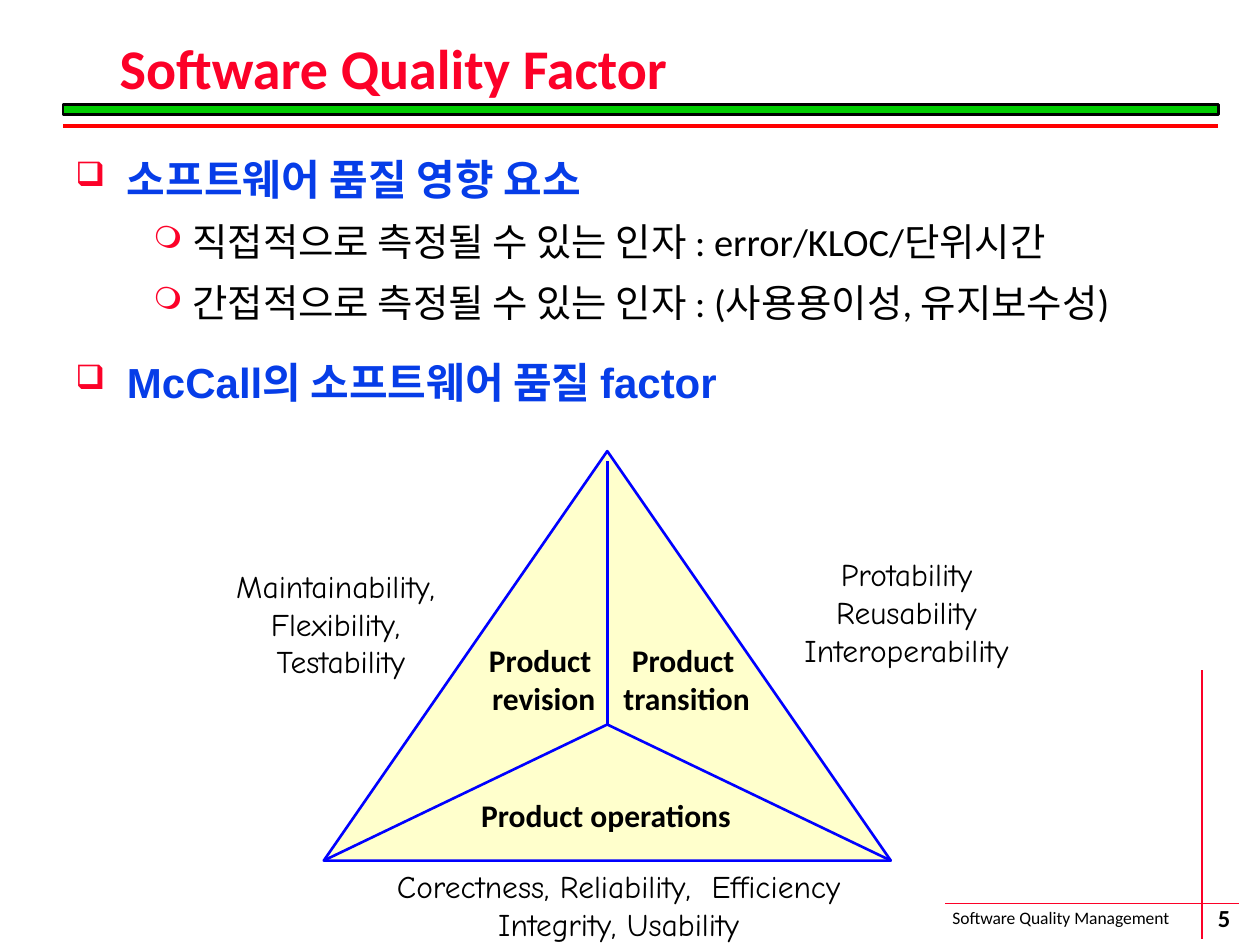
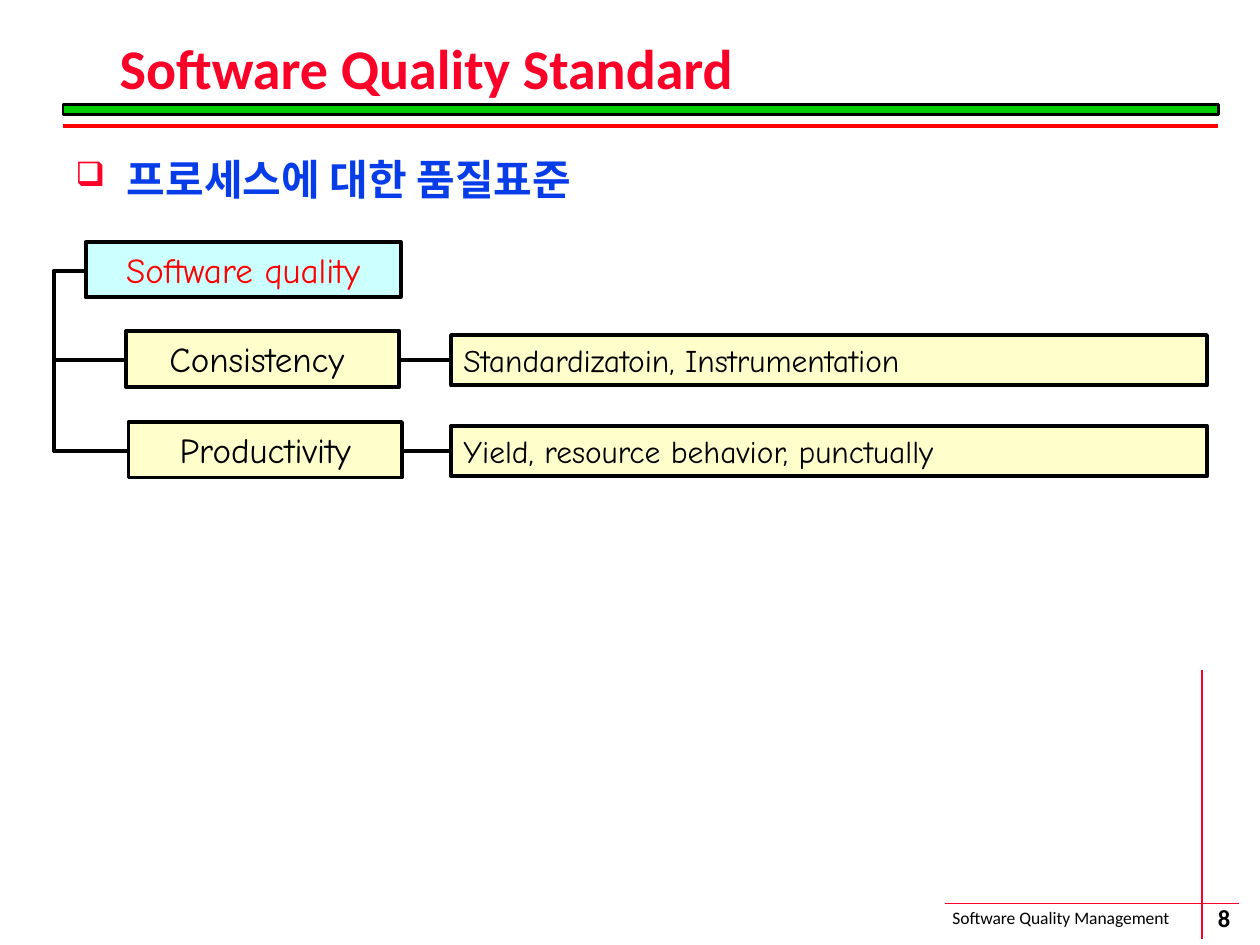
from lxml import etree
from pptx import Presentation
from pptx.dml.color import RGBColor
from pptx.enum.shapes import MSO_CONNECTOR, MSO_SHAPE
from pptx.enum.text import MSO_ANCHOR, PP_ALIGN
from pptx.oxml.ns import qn
from pptx.util import Inches, Pt

LEFT, CENTER = PP_ALIGN.LEFT, PP_ALIGN.CENTER
TOP, MIDDLE = MSO_ANCHOR.TOP, MSO_ANCHOR.MIDDLE
STRAIGHT, ELBOW = MSO_CONNECTOR.STRAIGHT, MSO_CONNECTOR.ELBOW
RECT, TRIANGLE = MSO_SHAPE.RECTANGLE, MSO_SHAPE.ISOSCELES_TRIANGLE

COLORS = {
    "red": "FC0128", "pure_red": "FF0000", "green": "00CC00", "heading": "063DE8",
    "edge": "0000FF", "cream": "FFFFCC", "cyan": "CCFFFF", "black": "000000",
}
SANS, ARIAL, COMIC, KOREAN = "Calibri", "Arial", "Comic Neue", "Noto Sans CJK KR"
BULLETS = {
    0: dict(char="❑", margin=0.41, hang=0.41, before=18, size=24, bold=True, color="heading"),
    1: dict(char="❍", margin=0.93, hang=0.31, before=8.2, size=22, bold=False, color="black"),
}


def rgb(name):
    return RGBColor.from_string(COLORS[name])


def add_run(p, text, font=SANS, size=18, color="black", bold=False):
    r = p.add_run()
    r.text = text
    r.font.name, r.font.size, r.font.bold = font, Pt(size), bold
    r.font.color.rgb = rgb(color)
    etree.SubElement(r.font._element, qn("a:ea"), typeface=KOREAN)


class Deck:
    """Draws the elements of the lecture slides in one shared style."""

    def __init__(self):
        self.prs = Presentation()
        self.prs.slide_width, self.prs.slide_height = Inches(10), Inches(7.5)
        self.s = None

    def slide(self, title, number):
        self.s = self.prs.slides.add_slide(self.prs.slide_layouts[5])
        self.line((7.5, 7.17), (9.83, 7.17), "red", 1)
        self.label(7.46, 7.15, 2.19, 0.27, ["Software Quality Management"], size=10, align=LEFT)
        self.line((9.54, 5.32), (9.54, 7.45), "red", 1)
        self.label(9.22, 7.14, 0.99, 0.28, [str(number)], size=14, bold=True,
                   anchor=MIDDLE, inset=0)
        self.shape(RECT, 0.5, 0.83, 9.17, 0.08, "green", "black", 1.5)
        self.line((0.5, 1), (9.67, 1), "pure_red", 2.25)
        self.title(title)

    def title(self, text):
        sp = self.s.shapes.title
        sp.left, sp.top, sp.width, sp.height = map(Inches, (0.85, 0.35, 8.78, 0.44))
        tf = sp.text_frame
        tf.vertical_anchor, tf.word_wrap = MIDDLE, True
        p = tf.paragraphs[0]
        p.alignment, p.line_spacing = LEFT, 0.9
        add_run(p, text, size=32, color="red", bold=True)

    def line(self, start, end, color="black", weight=2.25, kind=STRAIGHT, bend_x=None):
        points = [Inches(v) for v in (*start, *end)]
        sp = self.s.shapes.add_connector(kind, *points)
        sp.line.color.rgb, sp.line.width = rgb(color), Pt(weight)
        props = sp._element.spPr
        etree.SubElement(props, qn("a:effectLst"))
        if bend_x is not None:
            ratio = (bend_x - start[0]) / (end[0] - start[0])
            guides = props.find(qn("a:prstGeom")).get_or_add_avLst()
            etree.SubElement(guides, qn("a:gd"), name="adj1", fmla=f"val {round(ratio * 100000)}")

    def shape(self, kind, x, y, w, h, fill, edge="black", weight=2.25):
        sp = self.s.shapes.add_shape(kind, *map(Inches, (x, y, w, h)))
        sp.shadow.inherit = False
        sp.fill.solid()
        sp.fill.fore_color.rgb = rgb(fill)
        sp.line.color.rgb, sp.line.width = rgb(edge), Pt(weight)
        return sp

    def box(self, x, y, w, h, text, fill="cream", align=CENTER, **font):
        tf = self.shape(RECT, x, y, w, h, fill).text_frame
        tf.word_wrap, tf.vertical_anchor = True, TOP
        p = tf.paragraphs[0]
        p.alignment = align
        add_run(p, text, font=COMIC, **font)

    def label(self, x, y, w, h, lines, align=CENTER, anchor=TOP, inset=None, **font):
        tf = self.s.shapes.add_textbox(*map(Inches, (x, y, w, h))).text_frame
        tf.word_wrap, tf.vertical_anchor = False, anchor
        if inset is not None:
            tf.margin_left = tf.margin_right = tf.margin_top = tf.margin_bottom = Inches(inset)
        for i, text in enumerate(lines):
            p = tf.add_paragraph() if i else tf.paragraphs[0]
            p.alignment = align
            add_run(p, text, **font)

    def bullets(self, items):
        tf = self.s.shapes.add_textbox(*map(Inches, (0.5, 1.17, 9.17, 6.02))).text_frame
        tf.word_wrap = True
        for i, (level, runs) in enumerate(items):
            style = BULLETS[level]
            p = tf.add_paragraph() if i else tf.paragraphs[0]
            pPr = p._p.get_or_add_pPr()
            pPr.set("marL", str(Inches(style["margin"])))
            pPr.set("indent", str(-Inches(style["hang"])))
            color = etree.SubElement(pPr, qn("a:buClr"))
            etree.SubElement(color, qn("a:srgbClr"), val=COLORS["red"])
            etree.SubElement(pPr, qn("a:buSzPct"), val="80000")
            etree.SubElement(pPr, qn("a:buChar"), char=style["char"])
            p.level = level
            if i:
                p.space_before = Pt(style["before"])
            for text, font in runs:
                add_run(p, text, font, style["size"], style["color"], style["bold"])


def quality_factor(deck):
    deck.slide("Software Quality Factor", 5)
    deck.bullets([
        (0, [("소프트웨어 품질 영향 요소", SANS)]),
        (1, [("직접적으로 측정될 수 있는 인자 ", KOREAN), (": error/KLOC/", SANS),
             ("단위시간", KOREAN)]),
        (1, [("간접적으로 측정될 수 있는 인자 ", KOREAN), (": (", SANS), ("사용용이성", KOREAN),
             (", ", SANS), ("유지보수성", KOREAN), (")", SANS)]),
        (0, [("McCall의 소프트웨어 품질 factor", ARIAL)]),
    ])
    left, top, width, height = 2.57, 3.58, 4.5, 3.25
    deck.shape(TRIANGLE, left, top, width, height, "cream", "edge", 1.5)
    hub = (left + width / 2, 5.75)
    for corner in [(hub[0], 3.66), (left, top + height), (left + width, top + height)]:
        deck.line(hub, corner, "edge", 1.5)
    for x, y, w, h, lines in [
        (3.51, 6.27, 2.6, 0.4, ["Product operations"]),
        (4.73, 5.04, 1.44, 0.7, ["Product ", "transition"]),
        (3.69, 5.04, 1.25, 0.7, ["Product ", "revision"]),
    ]:
        deck.label(x, y, w, h, lines, bold=True)
    for x, y, w, h, lines in [
        (3.05, 6.83, 3.72, 0.7, ["Corectness, Reliability,  Efficiency", "Integrity, Usability"]),
        (1.77, 4.45, 1.87, 1, ["Maintainability, ", "Flexibility, ", "Testability"]),
        (6.28, 4.36, 1.83, 1, ["Protability", "Reusability", "Interoperability"]),
    ]:
        deck.label(x, y, w, h, lines, font=COMIC)


def quality_standard(deck):
    deck.slide("Software Quality Standard", 8)
    deck.bullets([(0, [("프로세스에 대한 품질표준", KOREAN)])])
    deck.box(0.68, 1.92, 2.5, 0.44, "Software quality", "cyan", size=20, color="pure_red")
    for x, y, factor, measures in [
        (1, 2.63, "Consistency ", "Standardizatoin, Instrumentation"),
        (1.02, 3.35, "Productivity", "Yield, resource behavior, punctually"),
    ]:
        middle = y + 0.23
        deck.box(x, y, 2.17, 0.44, factor, size=20)
        deck.box(3.58, y + 0.03, 6, 0.4, measures, align=LEFT)
        deck.line((0.67, 2.15), (x, middle), kind=ELBOW, bend_x=0.43)
        deck.line((x + 2.17, middle), (3.58, middle))


def main():
    deck = Deck()
    quality_factor(deck)
    quality_standard(deck)
    deck.prs.save("out.pptx")


if __name__ == "__main__":
    main()
